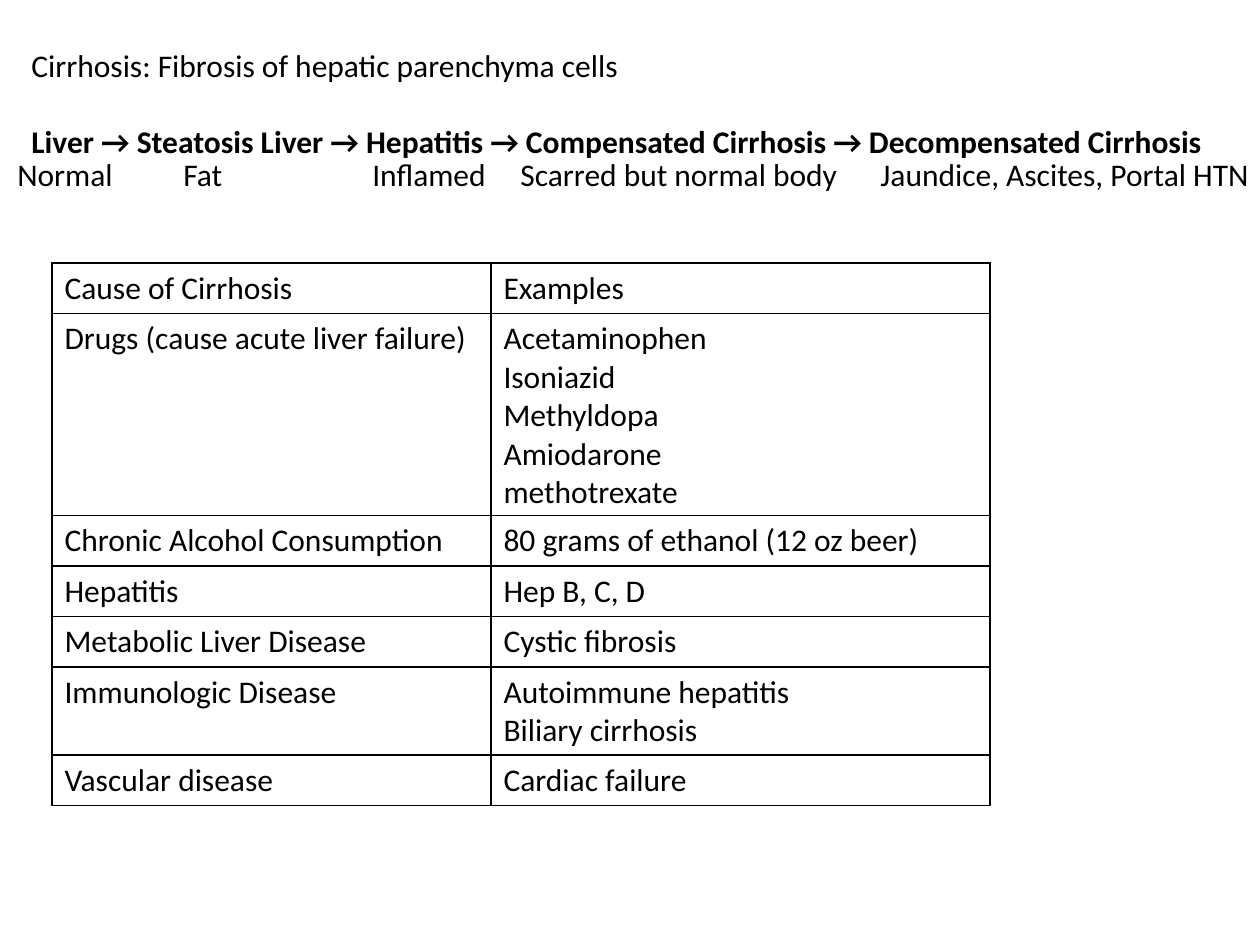
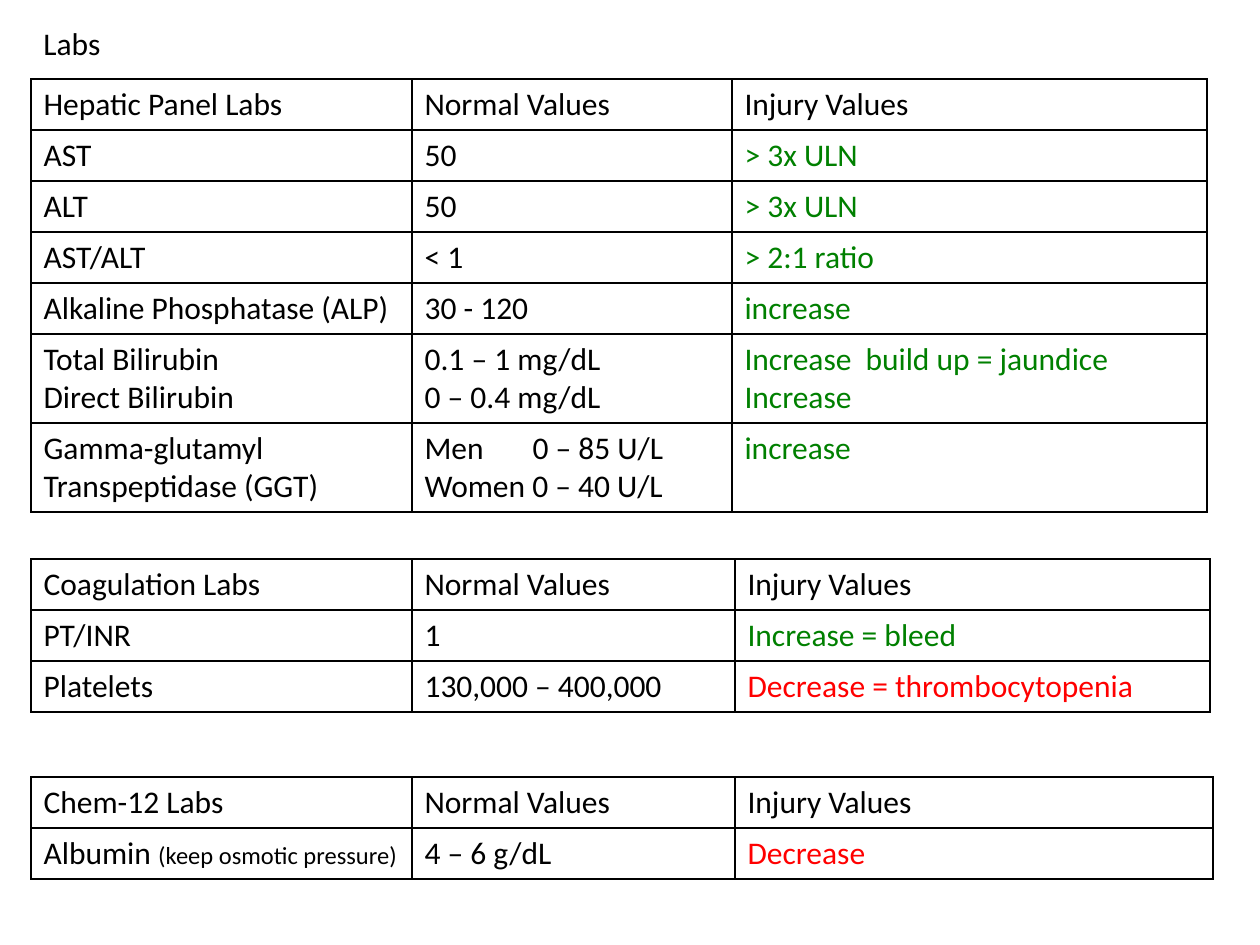
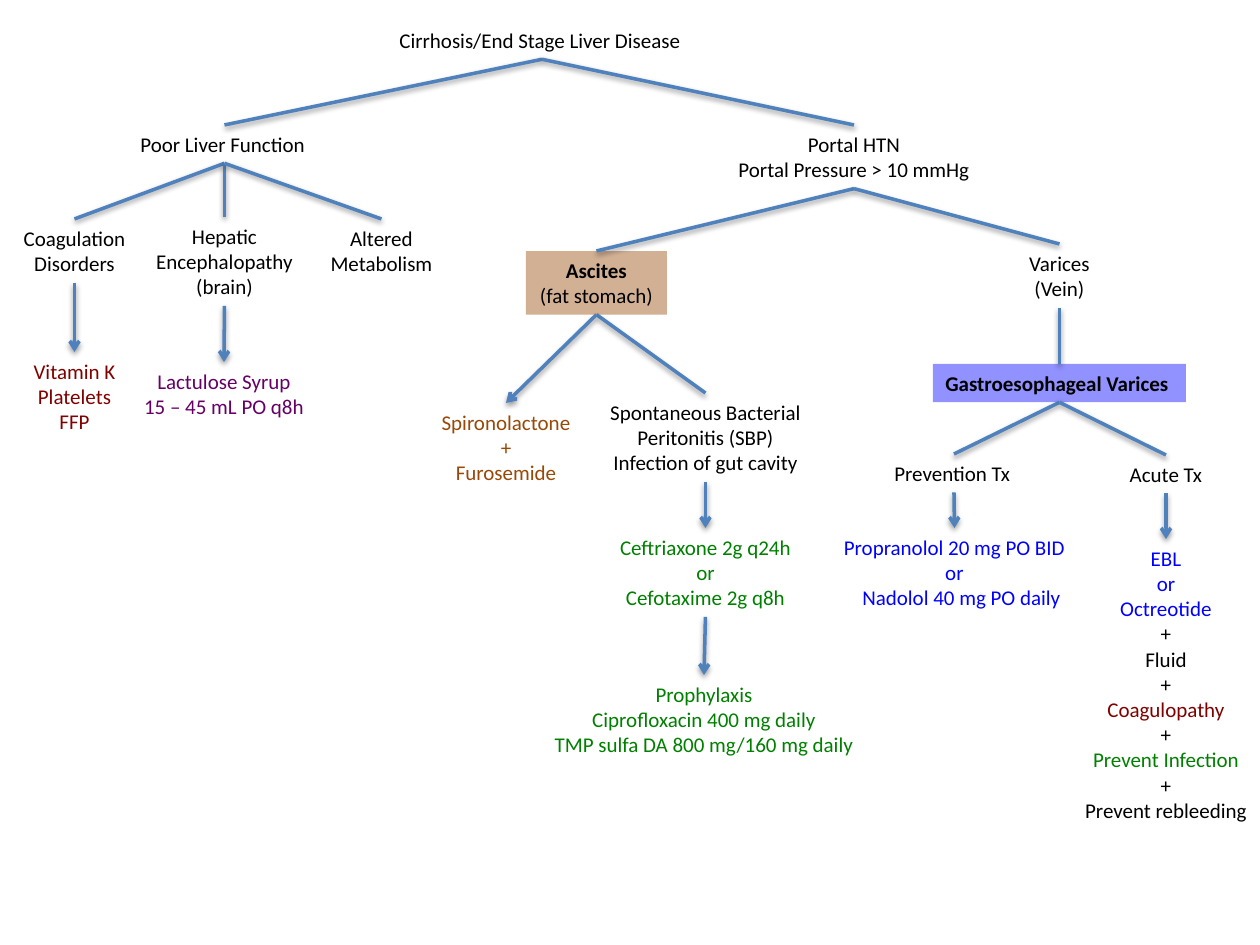
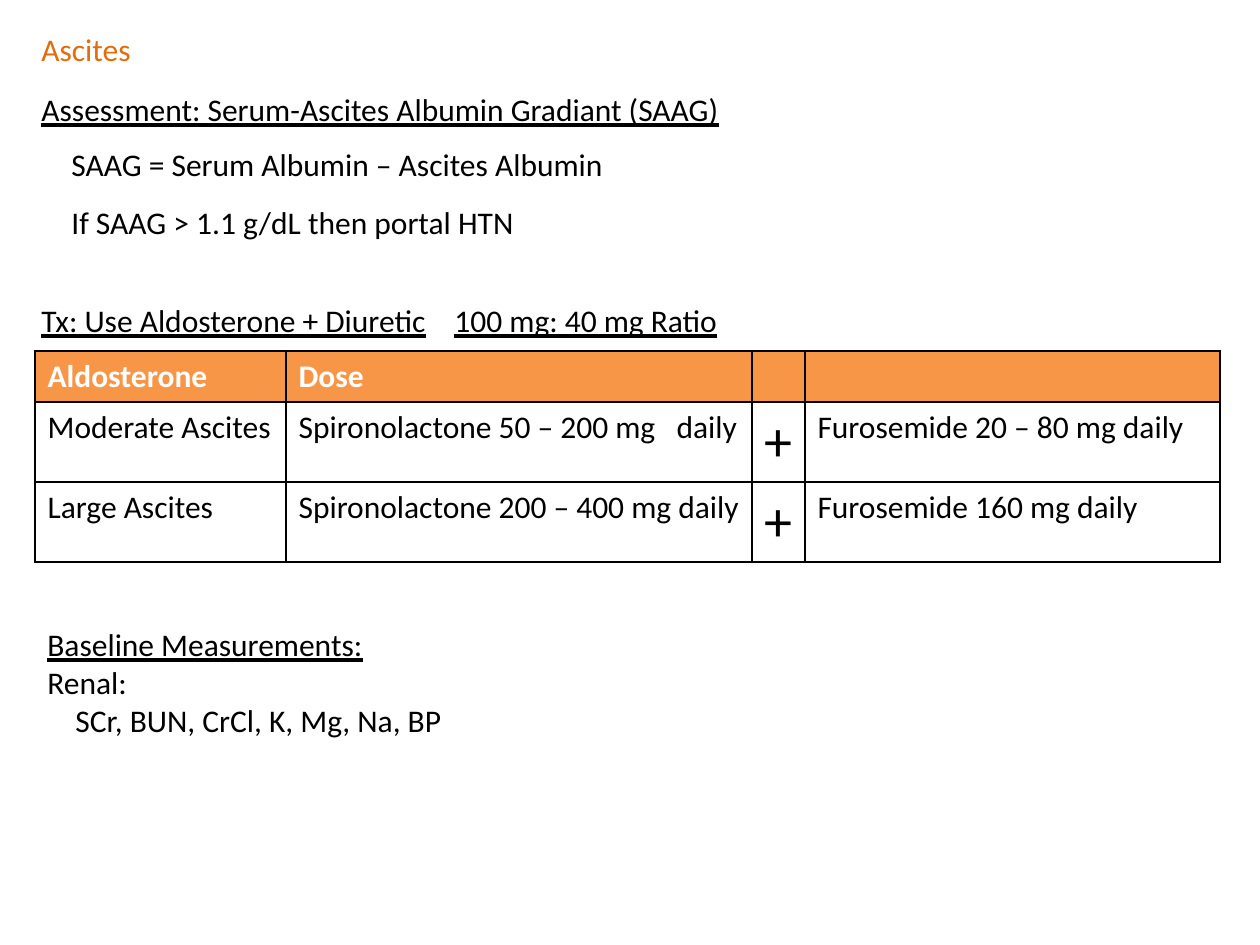
import pptx
import pptx.util
import pptx.dml.color
import pptx.enum.dml
import pptx.enum.shapes
import pptx.enum.text
import pptx.oxml
import pptx.oxml.ns

RGB = pptx.dml.color.RGBColor
Pt = pptx.util.Pt
qn = pptx.oxml.ns.qn
ALIGN = pptx.enum.text.PP_ALIGN

BLACK = RGB(0x00, 0x00, 0x00)
WHITE = RGB(0xFF, 0xFF, 0xFF)
GREEN = RGB(0x00, 0x80, 0x00)
RED = RGB(0xFF, 0x00, 0x00)
MAROON = RGB(0x80, 0x00, 0x00)
PURPLE = RGB(0x66, 0x00, 0x66)
BROWN = RGB(0x98, 0x48, 0x07)
BLUE = RGB(0x00, 0x00, 0xFF)
ORANGE = RGB(0xE4, 0x6C, 0x0A)
HEADER = RGB(0xF7, 0x96, 0x46)
LINE = RGB(0x4F, 0x81, 0xBD)

FONT = "Calibri"
PX = 914400 / 126
BODY, SMALL = 18, 12  # text sizes in points
INSET = 13            # top and bottom inset together, px
LEADING = 2.11        # px of line height per point of text
NS = 'xmlns:a="http://schemas.openxmlformats.org/drawingml/2006/main"'


def para(text, **style):
    """A paragraph; text is a string or a list of (text, size) runs."""
    return dict(text=text, **style)


def left_para(text, **style):
    return para(text, align=ALIGN.LEFT, **style)


def green(text, **style):
    return para(text, color=GREEN, **style)


def red(text):
    return para(text, color=RED)


def blue(text, **style):
    return para(text, color=BLUE, **style)


# Text boxes: left, top, width, paragraphs, wrap
CIRRHOSIS_TEXT = [
    (19, 40, 1226, [
        "Cirrhosis: Fibrosis of hepatic parenchyma cells",
        para("Liver → Steatosis Liver → Hepatitis → Compensated Cirrhosis"
             " → Decompensated Cirrhosis", bold=True, before=22)], False),
    (5, 149, 857, [para("Normal\tFat\tInflamed\tScarred but normal body",
                        tabs=[166, 355, 503])], True),
    (868, 149, 407, ["Jaundice, Ascites, Portal HTN"], False),
]
LABS_TEXT = [(31, 18, 83, ["Labs"], False)]
ASCITES_TEXT = [
    (29, 24, 116, [para("Ascites", color=ORANGE)], False),
    (29, 84, 712, [para("Assessment: Serum-Ascites Albumin Gradiant (SAAG)",
                        underline=True)], False),
    (59, 139, 563, ["SAAG = Serum Albumin – Ascites Albumin"], False),
    (59, 197, 473, ["If SAAG > 1.1 g/dL then portal HTN"], False),
    (35, 619, 427, [para("Baseline Measurements:", underline=True), "Renal:",
                    para("SCr, BUN, CrCl, K, Mg, Na, BP", indent=28)], False),
    (29, 295, 711, [para("Tx: Use Aldosterone + Diuretic\t100 mg: 40 mg Ratio",
                         underline=True, tabs=[413])], True),
]

# Table cells hold one paragraph or a list of them
CAUSES = [
    ["Cause of Cirrhosis", "Examples"],
    ["Drugs (cause acute liver failure)",
     ["Acetaminophen", "Isoniazid", "Methyldopa", "Amiodarone", "methotrexate"]],
    ["Chronic Alcohol Consumption", "80 grams of ethanol (12 oz beer)"],
    ["Hepatitis", "Hep B, C, D"],
    ["Metabolic Liver Disease", "Cystic fibrosis"],
    ["Immunologic Disease", ["Autoimmune hepatitis", "Biliary cirrhosis"]],
    ["Vascular disease", "Cardiac failure"],
]
VALUE_HEADS = ["Normal Values", "Injury Values"]
HEPATIC = [
    ["Hepatic Panel Labs", *VALUE_HEADS],
    ["AST", "50", green("> 3x ULN")],
    ["ALT", "50", green("> 3x ULN")],
    ["AST/ALT", "< 1", green("> 2:1 ratio")],
    ["Alkaline Phosphatase (ALP)", "30 - 120", green("increase")],
    [["Total Bilirubin", "Direct Bilirubin"],
     ["0.1 – 1 mg/dL", "0 – 0.4 mg/dL"],
     [green("Increase\tbuild up = jaundice", tabs=[121]), green("Increase")]],
    [["Gamma-glutamyl", "Transpeptidase (GGT)"],
     [para("Men\t0 – 85 U/L", tabs=[108]), "Women 0 – 40 U/L"],
     green("increase")],
]
COAGULATION = [
    ["Coagulation Labs", *VALUE_HEADS],
    ["PT/INR", "1", green("Increase = bleed")],
    ["Platelets", "130,000 – 400,000", red("Decrease = thrombocytopenia")],
]
CHEM = [
    ["Chem-12 Labs", *VALUE_HEADS],
    [para([("Albumin ", BODY), ("(keep osmotic pressure)", 14)]),
     "4 – 6 g/dL", red("Decrease")],
]
PLUS = para([("+", 32)], align=ALIGN.CENTER)
DOSES = [
    [para("Aldosterone", color=WHITE, bold=True),
     para("Dose", color=WHITE, bold=True), [], []],
    ["Moderate Ascites", para("Spironolactone 50 – 200 mg\tdaily", tabs=[378]),
     PLUS, "Furosemide 20 – 80 mg daily"],
    ["Large Ascites", "Spironolactone 200 – 400 mg daily",
     PLUS, "Furosemide 160 mg daily"],
]

# Flowchart nodes: left, top, width, paragraphs
NODES = {
    "cirrhosis": (387, 21, 310, [left_para("Cirrhosis/End Stage Liver Disease")]),
    "function": (128, 125, 193, [left_para("Poor Liver Function")]),
    "brain": (142, 217, 165, ["Hepatic", "Encephalopathy", "(brain)"]),
    "coagulation": (10, 219, 129, ["Coagulation", "Disorders"]),
    "metabolism": (317, 219, 129, ["Altered", "Metabolism"]),
    "vitamin": (20, 352, 109, [para(t, color=MAROON)
                               for t in ("Vitamin K", "Platelets", "FFP")]),
    "lactulose": (131, 362, 186, [para(t, color=PURPLE) for t in
                                  ("Lactulose Syrup", "15 – 45 mL PO q8h")]),
    "portal": (724, 125, 260, ["Portal HTN", "Portal Pressure > 10 mmHg"]),
    "ascites": (526, 251, 141, [para("Ascites", bold=True), "(fat stomach)"]),
    "spironolactone": (428, 403, 156, [para(t, color=BROWN) for t in
                                       ("Spironolactone", "+", "Furosemide")]),
    "sbp": (596, 393, 219, ["Spontaneous Bacterial", "Peritonitis (SBP)",
                            "Infection of gut cavity"]),
    "ceftriaxone": (606, 528, 199, [green("Ceftriaxone 2g q24h"), green("or"),
                                    green("Cefotaxime 2g q8h")]),
    "prophylaxis": (535, 675, 338, [green("Prophylaxis"),
                                    green("Ciprofloxacin 400 mg daily"),
                                    green("TMP sulfa DA 800 mg/160 mg daily")]),
    "varices": (1015, 244, 89, ["Varices", "(Vein)"]),
    "gastro": (933, 364, 253, [left_para("Gastroesophageal Varices", bold=True)]),
    "prevention": (882, 454, 144, [left_para("Prevention Tx")]),
    "acute": (1116, 455, 100, ["Acute Tx"]),
    "propranolol": (822, 528, 265, [blue("Propranolol 20 mg PO BID"), blue("or"),
                                    blue("Nadolol 40 mg PO daily", indent=14)]),
    "bleeding": (1036, 539, 260, [
        blue("EBL"), blue("or"), blue("Octreotide"), "+", "Fluid", "+",
        para("Coagulopathy", color=MAROON), "+", green("Prevent Infection"),
        "+", "Prevent rebleeding"]),
}
NODE_FILLS = {"ascites": BROWN, "gastro": BLUE}
BRANCHES = [
    ("cirrhosis", "function"), ("cirrhosis", "portal"),
    ("function", "coagulation"), ("function", "brain"),
    ("function", "metabolism"), ("portal", "ascites"), ("portal", "varices"),
    ("ascites", "sbp"), ("varices", "gastro"),
    ("gastro", "prevention"), ("gastro", "acute"),
]
TREATMENTS = [
    ("coagulation", "vitamin"), ("brain", "lactulose"),
    ("ascites", "spironolactone"), ("sbp", "ceftriaxone"),
    ("ceftriaxone", "prophylaxis"), ("prevention", "propranolol"),
    ("acute", "bleeding"),
]


def emu(*px):
    return [round(v * PX) for v in px]


def add_xml(parent, xml):
    parent.append(pptx.oxml.parse_xml(xml))


def as_dicts(paras):
    if not isinstance(paras, list):
        paras = [paras]
    return [para(p) if isinstance(p, str) else p for p in paras]


def fill_text(tf, paras, size=BODY, align=ALIGN.LEFT):
    for i, item in enumerate(as_dicts(paras)):
        p = tf.paragraphs[0] if i == 0 else tf.add_paragraph()
        p.alignment = item.get("align", align)
        if "before" in item:
            p.space_before = Pt(item["before"])
        pPr = p._p.get_or_add_pPr()
        if "indent" in item:
            pPr.set("marL", str(emu(item["indent"])[0]))
        if "tabs" in item:
            stops = "".join(f'<a:tab pos="{pos}" algn="l"/>'
                            for pos in emu(*item["tabs"]))
            add_xml(pPr, f"<a:tabLst {NS}>{stops}</a:tabLst>")
        runs = item["text"]
        for text, run_size in [(runs, size)] if isinstance(runs, str) else runs:
            r = p.add_run()
            r.text = text
            r.font.name = FONT
            r.font.size = Pt(run_size)
            r.font.bold = item.get("bold", False)
            r.font.underline = item.get("underline", False)
            r.font.color.rgb = item.get("color", BLACK)


def add_text(s, left, top, width, paras, wrap=False, size=BODY,
             align=ALIGN.LEFT, fill=None):
    """A text box as high as its lines, or a tinted rectangle if fill is set."""
    before = sum(p.get("before", 0) for p in as_dicts(paras))
    height = INSET + LEADING * size * len(paras) + before * 1.75
    box = emu(left, top, width, height)
    if fill is None:
        sp = s.shapes.add_textbox(*box)
    else:
        sp = s.shapes.add_shape(pptx.enum.shapes.MSO_SHAPE.RECTANGLE, *box)
        sp.shadow.inherit = False
        sp.line.fill.background()
        sp.fill.solid()
        sp.fill.fore_color.rgb = fill
        color = sp.fill._xPr.find(qn("a:solidFill"))[0]
        add_xml(color, f'<a:alpha {NS} val="43000"/>')
    tf = sp.text_frame
    tf.word_wrap = wrap
    tf.auto_size = pptx.enum.text.MSO_AUTO_SIZE.SHAPE_TO_FIT_TEXT
    tf.vertical_anchor = pptx.enum.text.MSO_ANCHOR.TOP
    fill_text(tf, paras, size, align)
    return sp


def add_grid(s, left, top, widths, rows, pad=INSET, heights=None, header=None):
    """A table with thin black borders; rows fit their longest cell."""
    heights = heights or [
        pad + 38 * max(len(as_dicts(cell)) for cell in row) for row in rows]
    table = s.shapes.add_table(
        len(rows), len(widths),
        *emu(left, top, sum(widths), sum(heights))).table
    table.first_row = table.horz_banding = False
    for col, width in zip(table.columns, emu(*widths)):
        col.width = width
    for row, height in zip(table.rows, emu(*heights)):
        row.height = height
    for i, row in enumerate(rows):
        for j, paras in enumerate(row):
            cell = table.cell(i, j)
            tcPr = cell._tc.get_or_add_tcPr()
            for side in "LRTB":
                add_xml(tcPr, f'<a:ln{side} {NS} w="12700"><a:solidFill>'
                              f'<a:srgbClr val="{BLACK}"/></a:solidFill></a:ln{side}>')
            if header is not None and i == 0:
                cell.fill.solid()
                cell.fill.fore_color.rgb = header
            else:
                cell.fill.background()
            fill_text(cell.text_frame, paras)


def link(s, parent, child, arrow):
    cx = s.shapes.add_connector(
        pptx.enum.shapes.MSO_CONNECTOR.STRAIGHT, 0, 0, 0, 0)
    cx.begin_connect(parent, 2)
    cx.end_connect(child, 0)
    cx.line.color.rgb = LINE
    cx.line.width = Pt(2)
    if arrow:
        add_xml(cx.line._get_or_add_ln(), f'<a:tailEnd {NS} type="arrow"/>')
    add_xml(cx._element.spPr,
            f'<a:effectLst {NS}><a:outerShdw blurRad="40000" dist="20000" '
            'dir="5400000" rotWithShape="0"><a:srgbClr val="000000">'
            '<a:alpha val="38000"/></a:srgbClr></a:outerShdw></a:effectLst>')


def add_slide(prs, boxes=()):
    s = prs.slides.add_slide(prs.slide_layouts[6])
    for box in boxes:
        add_text(s, *box)
    return s


def main():
    prs = pptx.Presentation()
    prs.slide_width, prs.slide_height = emu(1260, 945)

    s = add_slide(prs, CIRRHOSIS_TEXT)
    add_grid(s, 52, 263, [439, 499], CAUSES, pad=12)

    s = add_slide(prs, LABS_TEXT)
    add_grid(s, 31, 79, [381, 320, 475], HEPATIC)
    add_grid(s, 31, 559, [381, 323, 475], COAGULATION)
    add_grid(s, 31, 777, [381, 323, 478], CHEM)

    s = add_slide(prs)
    nodes = {name: add_text(s, *node, size=SMALL, align=ALIGN.CENTER,
                            fill=NODE_FILLS.get(name))
             for name, node in NODES.items()}
    for pairs, arrow in ((BRANCHES, False), (TREATMENTS, True)):
        for parent, child in pairs:
            link(s, nodes[parent], nodes[child], arrow)

    s = add_slide(prs, ASCITES_TEXT)
    add_grid(s, 35, 351, [251, 466, 53, 415], DOSES,
             heights=[51, 80, 80], header=HEADER)

    prs.save("out.pptx")


if __name__ == "__main__":
    main()
